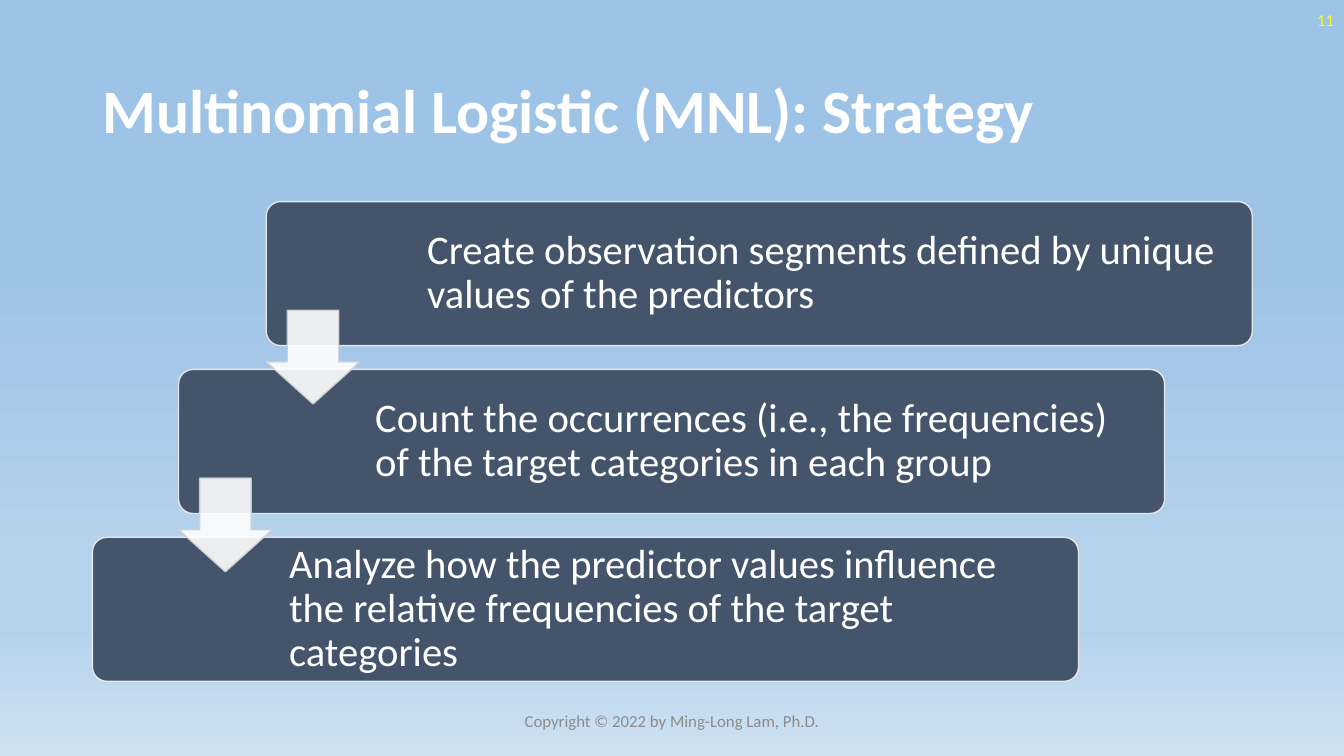
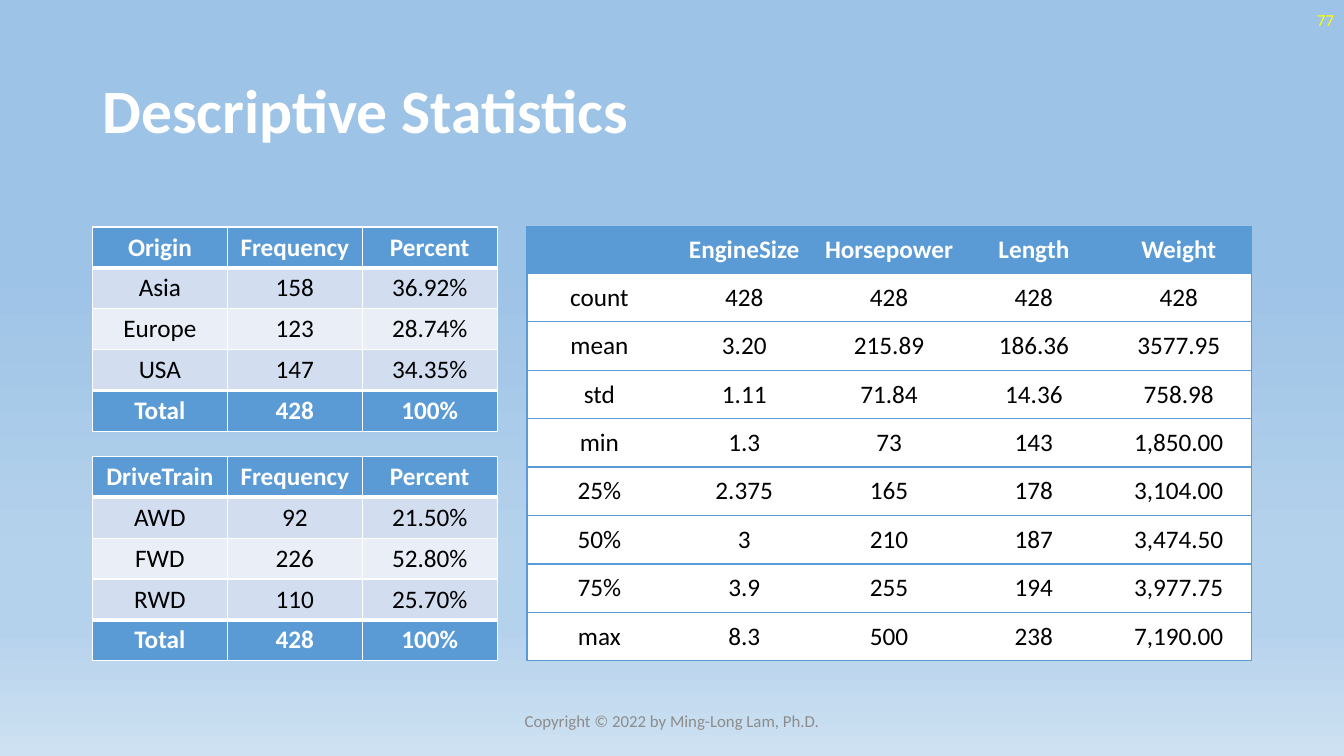
"""Build two lecture slides: the MNL strategy steps and the descriptive statistics tables."""
from lxml.etree import SubElement
from pptx import Presentation
from pptx.dml.color import RGBColor
from pptx.enum.shapes import MSO_SHAPE
from pptx.enum.text import MSO_ANCHOR, PP_ALIGN
from pptx.oxml.ns import qn
from pptx.util import Cm, Pt

rgb = RGBColor.from_string
FONT = "Calibri"
WHITE, BLACK, BLUE, NAVY = "FFFFFF", "000000", "5B9BD5", "44546A"
NO_STYLE = "{2D5ABB26-0587-4C30-8999-92F81FD0307C}"


def write(tf, text, size=18, color=WHITE, bold=False, align=PP_ALIGN.LEFT, spacing=1.0):
    tf.word_wrap = True
    tf.vertical_anchor = MSO_ANCHOR.MIDDLE
    p = tf.paragraphs[0]
    p.alignment = align
    p.line_spacing = spacing
    r = p.add_run()
    r.text = text
    r.font.name = FONT
    r.font.size = Pt(size)
    r.font.bold = bold
    r.font.color.rgb = rgb(color)


def add_border(cell, side, color, width):
    ln = SubElement(cell._tc.get_or_add_tcPr(), qn(f"a:ln{side}"), w=str(Pt(width)))
    fill = SubElement(ln, qn("a:solidFill"))
    SubElement(fill, qn("a:srgbClr"), val=color)


prs = Presentation()
prs.slide_width, prs.slide_height = Cm(33.87), Cm(19.05)

bg = prs.slide_master.background.fill
bg.gradient()
bg.gradient_angle = 270
stops = next(prs.slide_master.element.iter(qn("a:gsLst")))
for gs in list(stops):
    stops.remove(gs)
for pos, color in ((35, "9DC3E6"), (74, "B5D2EC"), (83, "B5D2EC"), (100, "CEE1F2")):
    gs = SubElement(stops, qn("a:gs"), pos=str(pos * 1000))
    SubElement(gs, qn("a:srgbClr"), val=color)

slides = []
for title, number in (("Multinomial Logistic (MNL): Strategy", "11"),
                      ("Descriptive Statistics", "77")):
    s = prs.slides.add_slide(prs.slide_layouts[5])
    sp = s.shapes.title
    sp.left, sp.top, sp.width, sp.height = Cm(2.33), Cm(1.01), Cm(29.21), Cm(3.68)
    write(sp.text_frame, title, size=44, bold=True, spacing=0.9)
    number_box = s.shapes.add_textbox(Cm(26.25), Cm(0), Cm(7.62), Cm(1.01))
    write(number_box.text_frame, number, size=12, color="FFFF00", align=PP_ALIGN.RIGHT)
    footer = s.shapes.add_textbox(Cm(11.22), Cm(17.66), Cm(11.43), Cm(1.01))
    write(footer.text_frame, "Copyright © 2022 by Ming-Long Lam, Ph.D.", size=12,
          color="8C8C8C", align=PP_ALIGN.CENTER)
    slides.append(s)
strategy, statistics = slides

steps = (
    (6.71, 3.95, "Create observation segments defined by unique values of the predictors"),
    (4.5, 4.85, "Count the occurrences (i.e., the frequencies) of the target categories in each group"),
    (2.33, 4.85, "Analyze how the predictor values influence the relative frequencies of the target categories"),
)
STEP_TOP, STEP_PITCH = 5.08, 4.23
for i, (left, indent, text) in enumerate(steps):
    sp = strategy.shapes.add_shape(MSO_SHAPE.ROUNDED_RECTANGLE, Cm(left),
                                   Cm(STEP_TOP + i * STEP_PITCH), Cm(24.85), Cm(3.63))
    sp.adjustments[0] = 0.1
    sp.shadow.inherit = False
    sp.fill.solid()
    sp.fill.fore_color.rgb = rgb(NAVY)
    sp.line.color.rgb = rgb("E7E6E6")
    sp.line.width = Pt(1)
    tf = sp.text_frame
    tf.margin_left, tf.margin_right = Cm(indent), Cm(0.32)
    tf.margin_top = tf.margin_bottom = Cm(0)
    write(tf, text, size=29, spacing=0.9)

for i, (left, indent, text) in enumerate(steps[:-1]):
    sp = strategy.shapes.add_shape(MSO_SHAPE.DOWN_ARROW, Cm(left),
                                   Cm(STEP_TOP + 2.74 + i * STEP_PITCH), Cm(2.36), Cm(2.36))
    sp.adjustments[0], sp.adjustments[1] = 0.55, 0.45
    sp.shadow.inherit = False
    sp.fill.solid()
    sp.fill.fore_color.rgb = rgb(WHITE)
    sp.line.color.rgb = rgb("CFD1D4")
    sp.line.width = Pt(1)
    for clr in sp.element.spPr.iter(qn("a:srgbClr")):
        SubElement(clr, qn("a:alpha"), val="90000")

summary = (
    ("", "EngineSize", "Horsepower", "Length", "Weight"),
    ("count", "428", "428", "428", "428"),
    ("mean", "3.20", "215.89", "186.36", "3577.95"),
    ("std", "1.11", "71.84", "14.36", "758.98"),
    ("min", "1.3", "73", "143", "1,850.00"),
    ("25%", "2.375", "165", "178", "3,104.00"),
    ("50%", "3", "210", "187", "3,474.50"),
    ("75%", "3.9", "255", "194", "3,977.75"),
    ("max", "8.3", "500", "238", "7,190.00"),
)
origin = (
    ("Origin", "Frequency", "Percent"),
    ("Asia", "158", "36.92%"),
    ("Europe", "123", "28.74%"),
    ("USA", "147", "34.35%"),
    ("Total", "428", "100%"),
)
drive_train = (
    ("DriveTrain", "Frequency", "Percent"),
    ("AWD", "92", "21.50%"),
    ("FWD", "226", "52.80%"),
    ("RWD", "110", "25.70%"),
    ("Total", "428", "100%"),
)

for rows, left, top, col_w, head_h, row_h, is_frequency in (
        (summary, 13.28, 5.72, 3.65, 1.17, 1.22, False),
        (origin, 2.33, 5.72, 3.4, 1.03, 1.03, True),
        (drive_train, 2.33, 11.5, 3.4, 1.03, 1.03, True)):
    n_rows, n_cols = len(rows), len(rows[0])
    frame = statistics.shapes.add_table(n_rows, n_cols, Cm(left), Cm(top), Cm(col_w * n_cols),
                                        Cm(head_h + row_h * (n_rows - 1)))
    table = frame.table
    table.first_row = table.horz_banding = False
    next(table._tbl.iter(qn("a:tableStyleId"))).text = NO_STYLE
    for col in table.columns:
        col.width = Cm(col_w)
    line = WHITE if is_frequency else BLUE
    bands = ("EAEFF7", "D2DEEF") if is_frequency else (WHITE, WHITE)
    heavy_edges = (1, n_rows - 1) if is_frequency else ()
    for i, row in enumerate(rows):
        table.rows[i].height = Cm(row_h if i else head_h)
        strong = i == 0 or row[0] == "Total"
        for j, text in enumerate(row):
            cell = table.cell(i, j)
            if is_frequency or j == 0:
                add_border(cell, "L", line, 1)
            if is_frequency or j == n_cols - 1:
                add_border(cell, "R", line, 1)
            for side, edge in (("T", i), ("B", i + 1)):
                add_border(cell, side, line, 3 if edge in heavy_edges else 1)
            cell.fill.solid()
            cell.fill.fore_color.rgb = rgb(BLUE if strong else bands[i % 2])
            cell.vertical_anchor = MSO_ANCHOR.MIDDLE
            if not is_frequency:
                cell.margin_left = cell.margin_right = Cm(0.03)
                cell.margin_top = cell.margin_bottom = Cm(0.03)
            if text:
                write(cell.text_frame, text, color=WHITE if strong else BLACK, bold=strong,
                      align=PP_ALIGN.CENTER)

prs.save("out.pptx")
